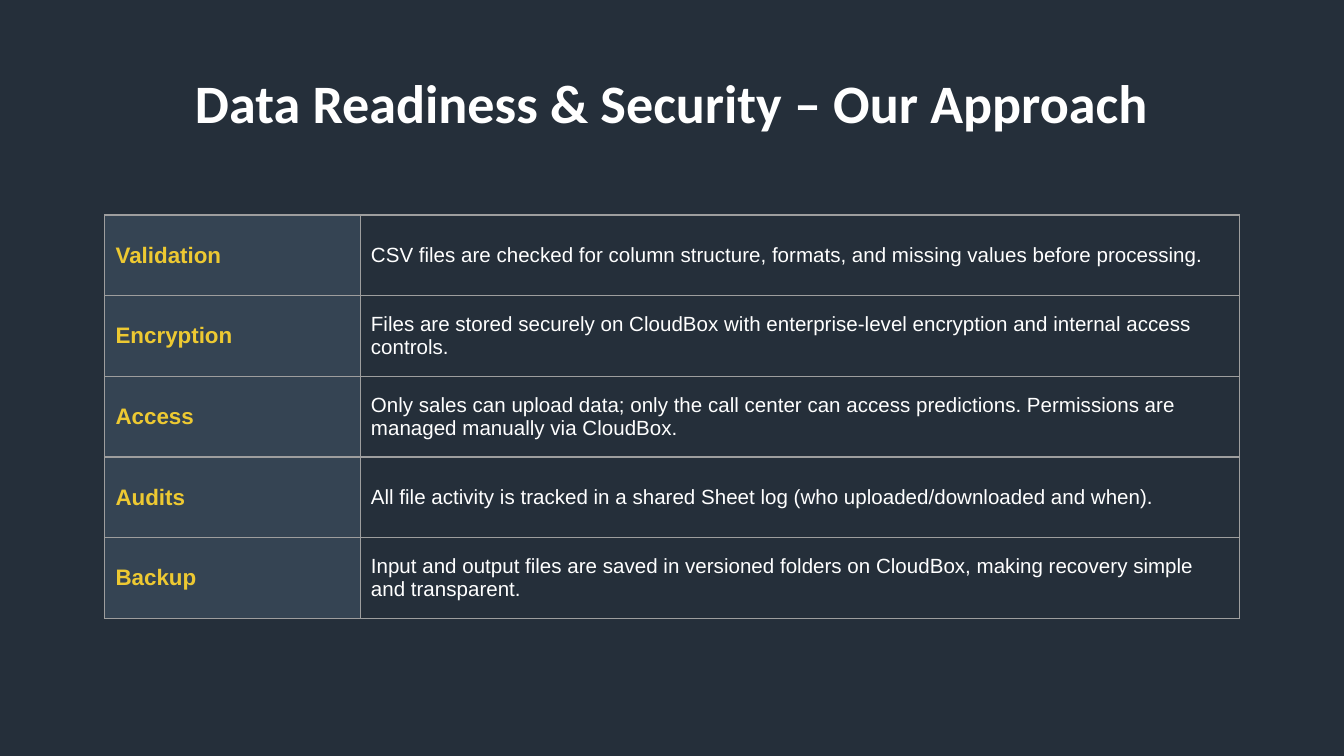
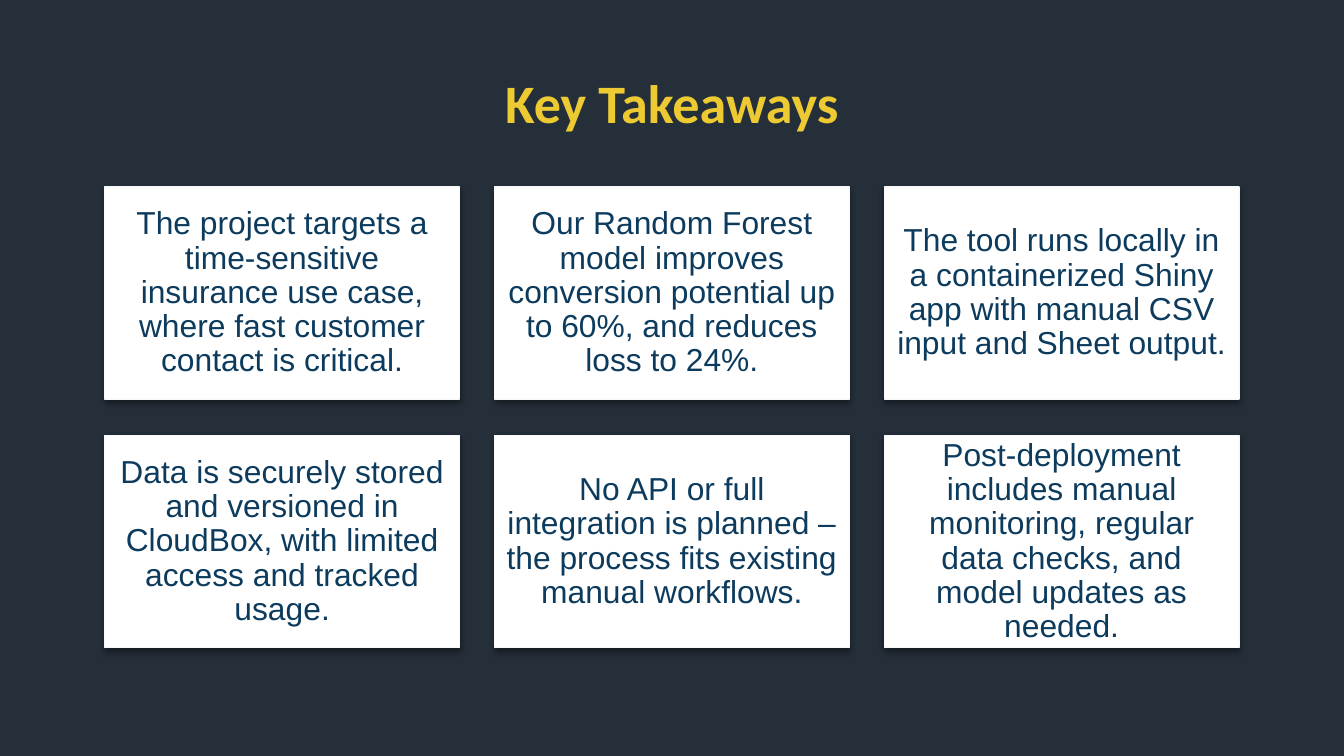
"""Builds two slides: the data security approach and the key takeaways."""
from lxml.etree import SubElement
from pptx import Presentation
from pptx.dml.color import RGBColor
from pptx.enum.shapes import MSO_SHAPE
from pptx.enum.text import MSO_ANCHOR, PP_ALIGN
from pptx.oxml.ns import qn
from pptx.util import Inches, Pt

COLORS = {
    "background": "252F3A",
    "label": "354453",
    "border": "9E9E9E",
    "accent": "EDC932",
    "white": "FFFFFF",
    "card_line": "F9F9F9",
    "card_text": "0C3B5D",
    "shadow": "000000",
}

APPROACH_TITLE = "Data Readiness & Security – Our Approach"
APPROACH = [
    ("Validation", "CSV files are checked for column structure, formats, and missing values before processing."),
    ("Encryption", "Files are stored securely on CloudBox with enterprise-level encryption and internal access controls."),
    ("Access", "Only sales can upload data; only the call center can access predictions. "
               "Permissions are managed manually via CloudBox."),
    ("Audits", "All file activity is tracked in a shared Sheet log (who uploaded/downloaded and when)."),
    ("Backup", "Input and output files are saved in versioned folders on CloudBox, "
               "making recovery simple and transparent."),
]

TAKEAWAYS_TITLE = "Key Takeaways"
TAKEAWAYS = [
    "The project targets a time-sensitive insurance use case, where fast customer contact is critical.",
    "Our Random Forest model improves conversion potential up to 60%, and reduces loss to 24%.",
    "The tool runs locally in a containerized Shiny app with manual CSV input and Sheet output.",
    "Data is securely stored and versioned in CloudBox, with limited access and tracked usage.",
    "No API or full integration is planned – the process fits existing manual workflows.",
    "Post-deployment includes manual monitoring, regular data checks, and model updates as needed.",
]

SLIDE_WIDTH = 10
SLIDE_HEIGHT = SLIDE_WIDTH * 9 / 16
LEFT, WIDTH = 0.78, 8.44
LABEL_WIDTH, ROW_HEIGHT, TABLE_TOP = 1.9, 0.6, 1.6
CARD_COLUMNS, CARD_TOP, CARD_WIDTH, CARD_HEIGHT = 3, 1.39, 2.64, 1.58
COLUMN_PITCH, ROW_PITCH = 2.9, 1.85


def rgb(name):
    return RGBColor.from_string(COLORS[name])


def write(frame, text, size, color, font="Arial", bold=False, align=PP_ALIGN.LEFT, spacing=None, inset=None):
    frame.word_wrap = True
    if inset is not None:
        frame.vertical_anchor = MSO_ANCHOR.MIDDLE
        frame.margin_left = frame.margin_right = Inches(inset)
        frame.margin_top = frame.margin_bottom = Inches(inset)
    paragraph = frame.paragraphs[0]
    paragraph.alignment = align
    paragraph.line_spacing = spacing
    run = paragraph.add_run()
    run.text = text
    run.font.name, run.font.size, run.font.bold = font, Pt(size), bold
    run.font.color.rgb = rgb(color)


def add_titled_slide(deck, title, color):
    slide = deck.slides.add_slide(deck.slide_layouts[6])
    slide.background.fill.solid()
    slide.background.fill.fore_color.rgb = rgb("background")
    heading = slide.shapes.add_textbox(Inches(LEFT), Inches(0.49), Inches(WIDTH), Inches(0.63))
    write(heading.text_frame, title, 29, color, font="Calibri", bold=True,
          align=PP_ALIGN.CENTER, spacing=0.8, inset=0.1)
    return slide


def add_color(parent, name):
    return SubElement(parent, qn("a:srgbClr"), val=COLORS[name])


def outline_cell(cell):
    properties = cell._tc.get_or_add_tcPr()
    for position, side in enumerate(("lnL", "lnR", "lnT", "lnB")):
        border = SubElement(properties, qn(f"a:{side}"), w=str(Pt(0.75)))
        add_color(SubElement(border, qn("a:solidFill")), "border")
        properties.insert(position, border)


def add_approach_table(slide):
    table = slide.shapes.add_table(len(APPROACH), 2, Inches(LEFT), Inches(TABLE_TOP),
                                   Inches(WIDTH), Inches(ROW_HEIGHT * len(APPROACH))).table
    table.first_row = table.horz_banding = False
    table.columns[0].width = Inches(LABEL_WIDTH)
    table.columns[1].width = Inches(WIDTH - LABEL_WIDTH)
    for row, (label, detail) in enumerate(APPROACH):
        label_cell, detail_cell = table.cell(row, 0), table.cell(row, 1)
        label_cell.fill.solid()
        label_cell.fill.fore_color.rgb = rgb("label")
        detail_cell.fill.background()
        write(label_cell.text_frame, label, 12, "accent", bold=True)
        write(detail_cell.text_frame, detail, 11, "white")
        for cell in (label_cell, detail_cell):
            cell.vertical_anchor = MSO_ANCHOR.MIDDLE
            cell.margin_left = cell.margin_right = Inches(0.08)
            cell.margin_top = cell.margin_bottom = Inches(0.04)
            outline_cell(cell)


def cast_shadow(card):
    card.shadow.inherit = False
    effects = card._element.spPr.find(qn("a:effectLst"))
    shadow = SubElement(effects, qn("a:outerShdw"), blurRad=str(Pt(3.1)), dist=str(Pt(1.6)),
                        dir="5400000", rotWithShape="0")
    SubElement(add_color(shadow, "shadow"), qn("a:alpha"), val="38000")


def add_takeaway_cards(slide):
    for index, takeaway in enumerate(TAKEAWAYS):
        row, column = divmod(index, CARD_COLUMNS)
        card = slide.shapes.add_shape(MSO_SHAPE.RECTANGLE,
                                      Inches(LEFT + column * COLUMN_PITCH),
                                      Inches(CARD_TOP + row * ROW_PITCH),
                                      Inches(CARD_WIDTH), Inches(CARD_HEIGHT))
        card.fill.solid()
        card.fill.fore_color.rgb = rgb("white")
        card.line.color.rgb = rgb("card_line")
        card.line.width = Pt(0.75)
        cast_shadow(card)
        write(card.text_frame, takeaway, 17, "card_text", align=PP_ALIGN.CENTER, spacing=0.9, inset=0.08)


def main():
    deck = Presentation()
    deck.slide_width, deck.slide_height = Inches(SLIDE_WIDTH), Inches(SLIDE_HEIGHT)
    add_approach_table(add_titled_slide(deck, APPROACH_TITLE, "white"))
    add_takeaway_cards(add_titled_slide(deck, TAKEAWAYS_TITLE, "accent"))
    deck.save("out.pptx")


if __name__ == "__main__":
    main()
